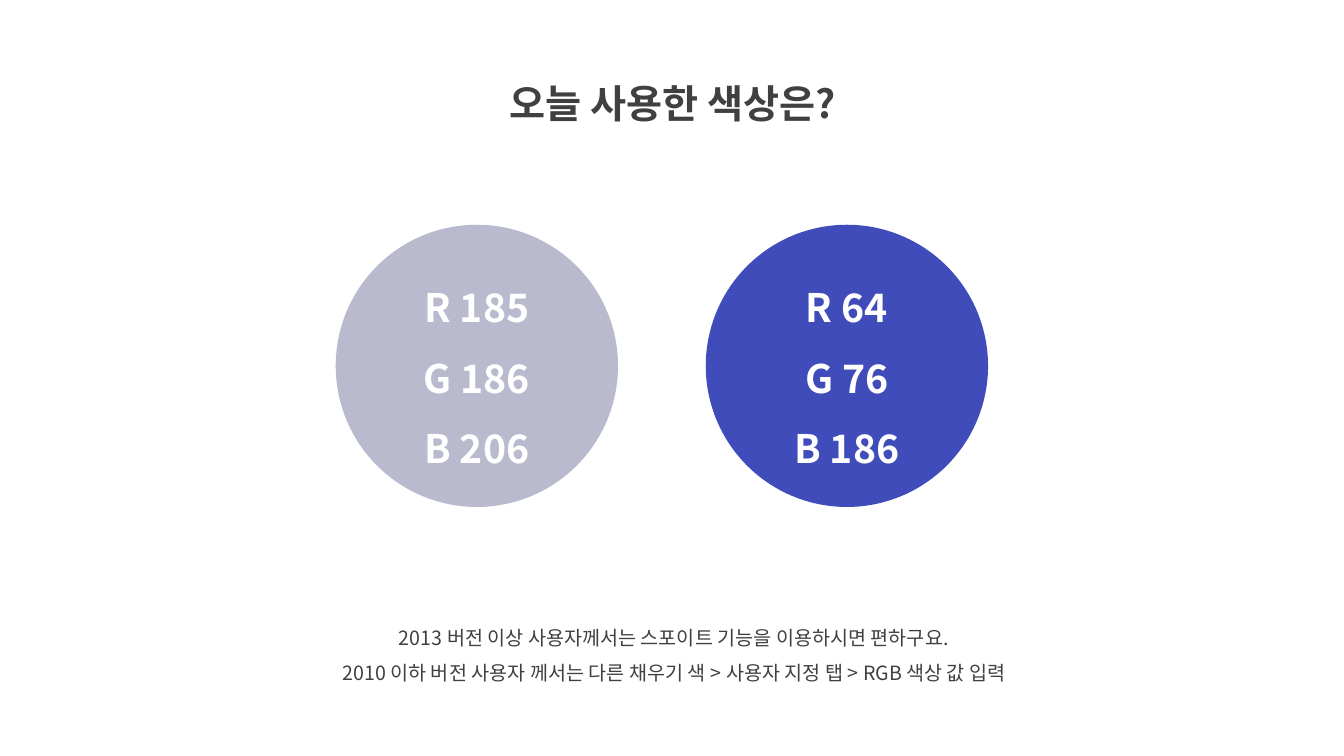
from dataclasses import dataclass

from lxml.etree import SubElement
from pptx import Presentation
from pptx.dml.color import RGBColor
from pptx.enum.shapes import MSO_SHAPE as Shape
from pptx.enum.text import MSO_ANCHOR as Anchor, MSO_AUTO_SIZE as AutoSize, PP_ALIGN as Align
from pptx.oxml.ns import qn
from pptx.util import Inches, Pt


@dataclass(frozen=True)
class Theme:
    font: str = "Noto Sans CJK KR"
    ink: tuple = (64, 64, 64)
    white: tuple = (255, 255, 255)
    swatches: tuple = ((185, 186, 206), (64, 76, 186))
    large: int = 28
    small: int = 14
    line_spacing: float = 1.5


THEME = Theme()


def write_text(frame, text, *, size, color, bold=False):
    frame.word_wrap = True
    for index, line in enumerate(text.split("\n")):
        para = frame.paragraphs[0] if index == 0 else frame.add_paragraph()
        para.alignment = Align.CENTER
        para.line_spacing = THEME.line_spacing
        span = para.add_run()
        span.text = line
        font = span.font
        font.size = Pt(size)
        font.bold = bold
        font.color.rgb = RGBColor(*color)
        font.name = THEME.font
        SubElement(span._r.get_or_add_rPr(), qn("a:ea"), typeface=THEME.font)


def add_caption(page, text, left, top, width, height, **text_format):
    box = page.shapes.add_textbox(Inches(left), Inches(top), Inches(width), Inches(height))
    write_text(box.text_frame, text, color=THEME.ink, **text_format)
    box.text_frame.auto_size = AutoSize.SHAPE_TO_FIT_TEXT


def add_swatch(page, color, left, top, diameter):
    circle = page.shapes.add_shape(
        Shape.OVAL, Inches(left), Inches(top), Inches(diameter), Inches(diameter)
    )
    circle.shadow.inherit = False
    circle.fill.solid()
    circle.fill.fore_color.rgb = RGBColor(*color)
    circle.line.fill.background()
    circle.text_frame.vertical_anchor = Anchor.MIDDLE
    label = "\n".join(f"{channel} {value}" for channel, value in zip("RGB", color))
    write_text(circle.text_frame, label, size=THEME.large, color=THEME.white, bold=True)


def main():
    deck = Presentation()
    deck.slide_width = Inches(13.33)
    deck.slide_height = Inches(7.5)
    page = deck.slides.add_slide(deck.slide_layouts[6])

    add_caption(page, "오늘 사용한 색상은?", 4.36, 0.5, 4.63, 0.72, size=THEME.large, bold=True)
    add_caption(
        page,
        "2013 버전 이상 사용자께서는 스포이트 기능을 이용하시면 편하구요.\n"
        "2010 이하 버전 사용자 께서는 다른 채우기 색 > 사용자 지정 탭 > RGB 색상 값 입력",
        2.69, 6.04, 7.99, 0.81, size=THEME.small,
    )
    for index, color in enumerate(THEME.swatches):
        add_swatch(page, color, left=3.33 + index * 3.67, top=2.23, diameter=2.8)

    deck.save("out.pptx")


if __name__ == "__main__":
    main()
